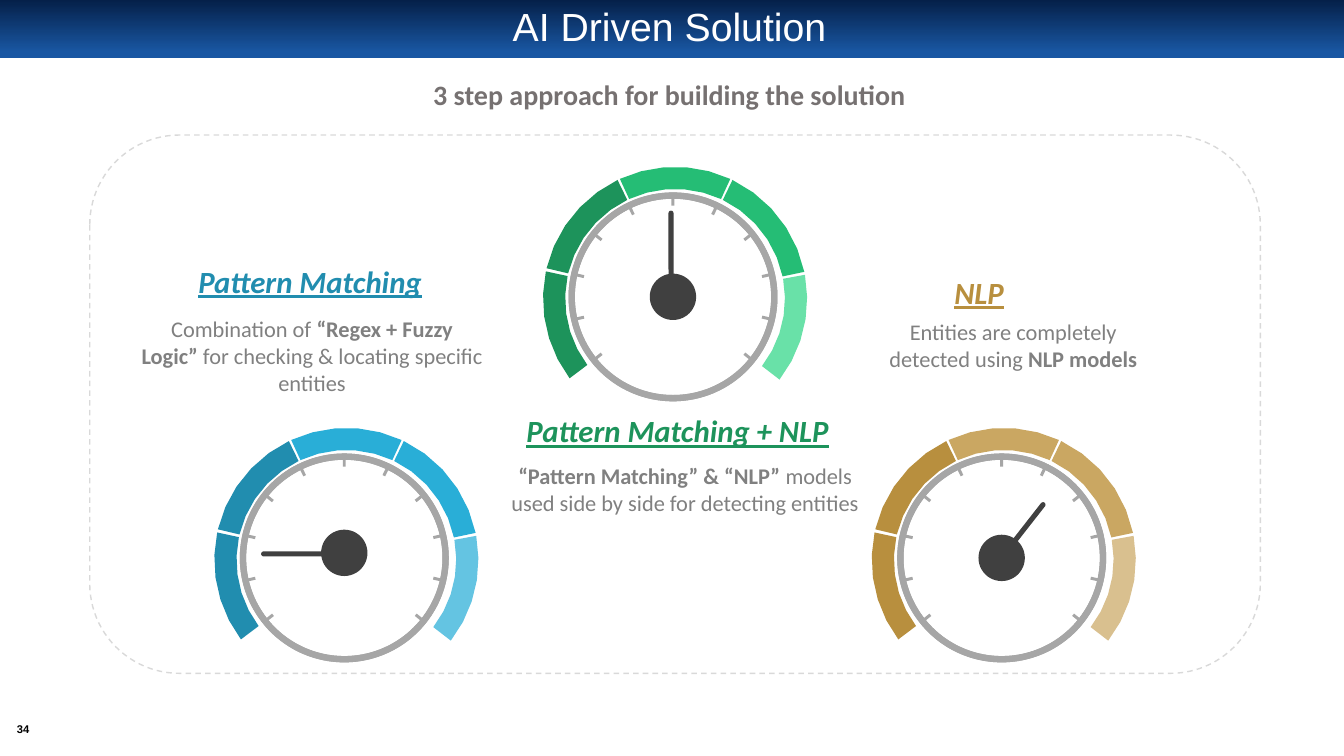
from math import cos, radians, sin

from pptx import Presentation
from pptx.dml.color import RGBColor
from pptx.enum.dml import MSO_LINE
from pptx.enum.shapes import MSO_SHAPE
from pptx.enum.text import MSO_ANCHOR, PP_ALIGN
from pptx.util import Inches, Pt

GREY, DARK = "A6A6A6", "404040"
TICK_STEP = 180 / 7
BAND_TILT = 128
# Band limits in degrees clockwise from the top, with the tone of each band
BANDS = [(-24.7, 24.7, 1), (-76.6, -25.8, 0), (25.8, 78.2, 1),
         (-127, -78, 0), (79.5, 127.7, 2)]


def color(value):
    return RGBColor.from_string(value)


def add_shape(s, kind, box, fill=None, line=None, width=1):
    sp = s.shapes.add_shape(kind, *[Inches(v) for v in box])
    paint(sp, fill, line, width)
    return sp


def paint(sp, fill, line=None, width=1):
    sp.shadow.inherit = False
    if fill:
        sp.fill.solid()
        sp.fill.fore_color.rgb = color(fill)
    else:
        sp.fill.background()
    if line:
        sp.line.color.rgb = color(line)
        sp.line.width = Pt(width)
    else:
        sp.line.fill.background()


def add_text(s, box, parts, size, text_color, font="Calibri"):
    """Place one centred paragraph; parts holds (text, bold) pairs."""
    tf = s.shapes.add_textbox(*[Inches(v) for v in box]).text_frame
    tf.word_wrap = True
    p = tf.paragraphs[0]
    p.alignment = PP_ALIGN.CENTER
    for text, bold in parts:
        r = p.add_run()
        r.text = text
        r.font.name = font
        r.font.size = Pt(size)
        r.font.bold = bold
        r.font.color.rgb = color(text_color)
    return tf


def add_header(s, box):
    x, y, w, h = box
    bar = add_shape(s, MSO_SHAPE.RECTANGLE, box)
    bar.fill.gradient()
    bar.fill.gradient_angle = 270
    stops = bar.fill.gradient_stops
    for stop, position, value in zip(stops, (0, 0.9), ("052049", "1957A3")):
        stop.position = position
        stop.color.rgb = color(value)
    tf = add_text(s, (x + 0.66, y + 0.06, 11.96, 0.45),
                  [("AI Driven Solution", False)], 28, "FFFFFF", "Arial")
    tf.vertical_anchor = MSO_ANCHOR.MIDDLE
    tf.paragraphs[0].line_spacing = 0.9
    add_text(s, (x + 1.82, y + h + 0.14, 9.64, 0.44),
             [("3 step approach for building the solution", True)], 20, "767171")


def add_panel(s, box):
    panel = add_shape(s, MSO_SHAPE.ROUNDED_RECTANGLE, box, "FFFFFF", "D9D9D9")
    panel.line.dash_style = MSO_LINE.DASH


def add_step(s, heading_box, body_box, heading, body, accent):
    tf = add_text(s, heading_box, [(heading, True)], 22, accent)
    font = tf.paragraphs[0].runs[0].font
    font.italic = font.underline = True
    add_text(s, body_box, body, 16, "808080")


def add_bar(s, kind, cx, cy, w, h, rotation, fill):
    bar = add_shape(s, kind, (cx - w / 2, cy - h / 2, w, h), fill)
    bar.rotation = rotation
    return bar


def add_band(s, cx, cy, start, end, fill, outer=1.31, inner=1.09, steps=5):
    """Outline the band untilted, then turn it about the dial's centre."""
    angles = [radians(start - BAND_TILT + (end - start) * i / steps)
              for i in range(steps + 1)]
    rim = [(outer, a) for a in angles] + [(inner, a) for a in reversed(angles)]
    points = [(Inches(cx + r * sin(a)), Inches(cy - r * cos(a))) for r, a in rim]
    builder = s.shapes.build_freeform(*points[0])
    builder.add_line_segments(points[1:], close=True)
    band = builder.convert_to_shape()
    paint(band, fill)
    dx = band.left + band.width / 2 - Inches(cx)
    dy = band.top + band.height / 2 - Inches(cy)
    c, n = cos(radians(BAND_TILT)), sin(radians(BAND_TILT))
    band.left = int(Inches(cx) + dx * c - dy * n - band.width / 2)
    band.top = int(Inches(cy) + dx * n + dy * c - band.height / 2)
    band.rotation = BAND_TILT


def add_gauge(s, box, tones, needle, rotation, hub_dy=0):
    """Draw a dial in its ring's box; needle is the offset of its middle."""
    x, y, w, h = box
    cx, cy = x + w / 2, y + h / 2
    # Needle
    pointer = add_bar(s, MSO_SHAPE.ROUNDED_RECTANGLE, cx + needle[0],
                      cy + needle[1], 0.73, 0.05, rotation, DARK)
    pointer.adjustments[0] = 0.5
    # Ring and ticks
    ring = add_shape(s, MSO_SHAPE.DONUT, box, GREY, GREY, 4.5)
    ring.adjustments[0] = 0
    for i in range(-5, 6):
        angle = i * TICK_STEP
        add_bar(s, MSO_SHAPE.RECTANGLE, cx + 0.95 * sin(radians(angle)),
                cy - 0.95 * cos(radians(angle)), 0.03, 0.09, angle, GREY)
    # Coloured bands
    for start, end, tone in BANDS:
        add_band(s, cx + 0.02, cy + 0.02, start, end, tones[tone])
    # Hub
    add_shape(s, MSO_SHAPE.OVAL, (cx - 0.23, cy - 0.23 + hub_dy, 0.46, 0.46), DARK)


def add_slide_number(s, box):
    tf = add_text(s, box, [("34", True)], 8, "000000", "Arial")
    tf.word_wrap = False
    tf.vertical_anchor = MSO_ANCHOR.MIDDLE
    tf.margin_left = tf.margin_right = tf.margin_top = tf.margin_bottom = 0


def main():
    prs = Presentation()
    prs.slide_width, prs.slide_height = Inches(13.33), Inches(7.5)
    s = prs.slides.add_slide(prs.slide_layouts[6])

    add_header(s, (0, 0, 13.33, 0.58))
    add_slide_number(s, (0.08, 7.14, 0.3, 0.19))
    add_panel(s, (0.89, 1.34, 11.61, 5.34))

    # Step captions
    add_step(s, (1.33, 2.56, 3.49, 0.47), (1.3, 3.08, 3.59, 0.91),
             "Pattern Matching",
             [("Combination of ", False), ("“Regex + Fuzzy Logic” ", True),
              ("for checking & locating specific entities", False)], "218DAF")
    add_step(s, (8.62, 2.67, 2.18, 0.47), (8.58, 3.11, 2.94, 0.64), "NLP",
             [("Entities are completely detected using ", False),
              ("NLP models", True)], "B88F3E")
    add_step(s, (4.85, 4.04, 3.74, 0.47), (4.96, 4.54, 3.67, 0.64),
             "Pattern Matching + NLP",
             [("“Pattern Matching” & “NLP” ", True),
              ("models used side by side for detecting entities", False)], "1D935B")

    # Gauges
    add_gauge(s, (5.67, 1.94, 2.01, 2.01), ("1D935B", "25BD75", "69E1A8"),
              (-0.02, -0.49), 90)
    add_gauge(s, (8.93, 4.53, 2.01, 2.01), ("B88F3E", "CAA762", "D9C08F"),
              (0.2, -0.26), 128)
    add_gauge(s, (2.41, 4.53, 2.01, 2.01), ("218DAF", "29AED7", "64C4E2"),
              (-0.46, -0.04), 0, hub_dy=-0.05)

    prs.save("out.pptx")


if __name__ == "__main__":
    main()
